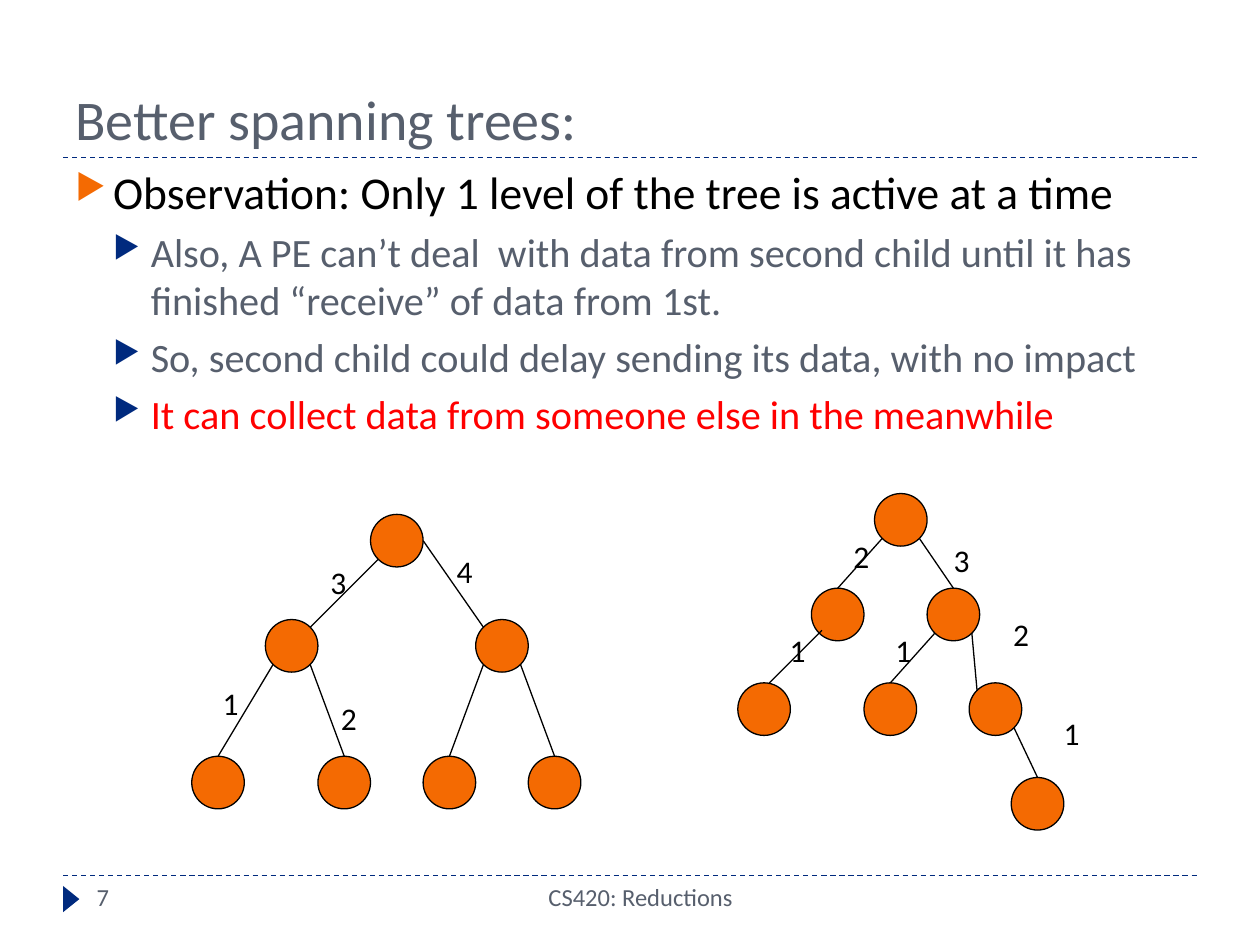
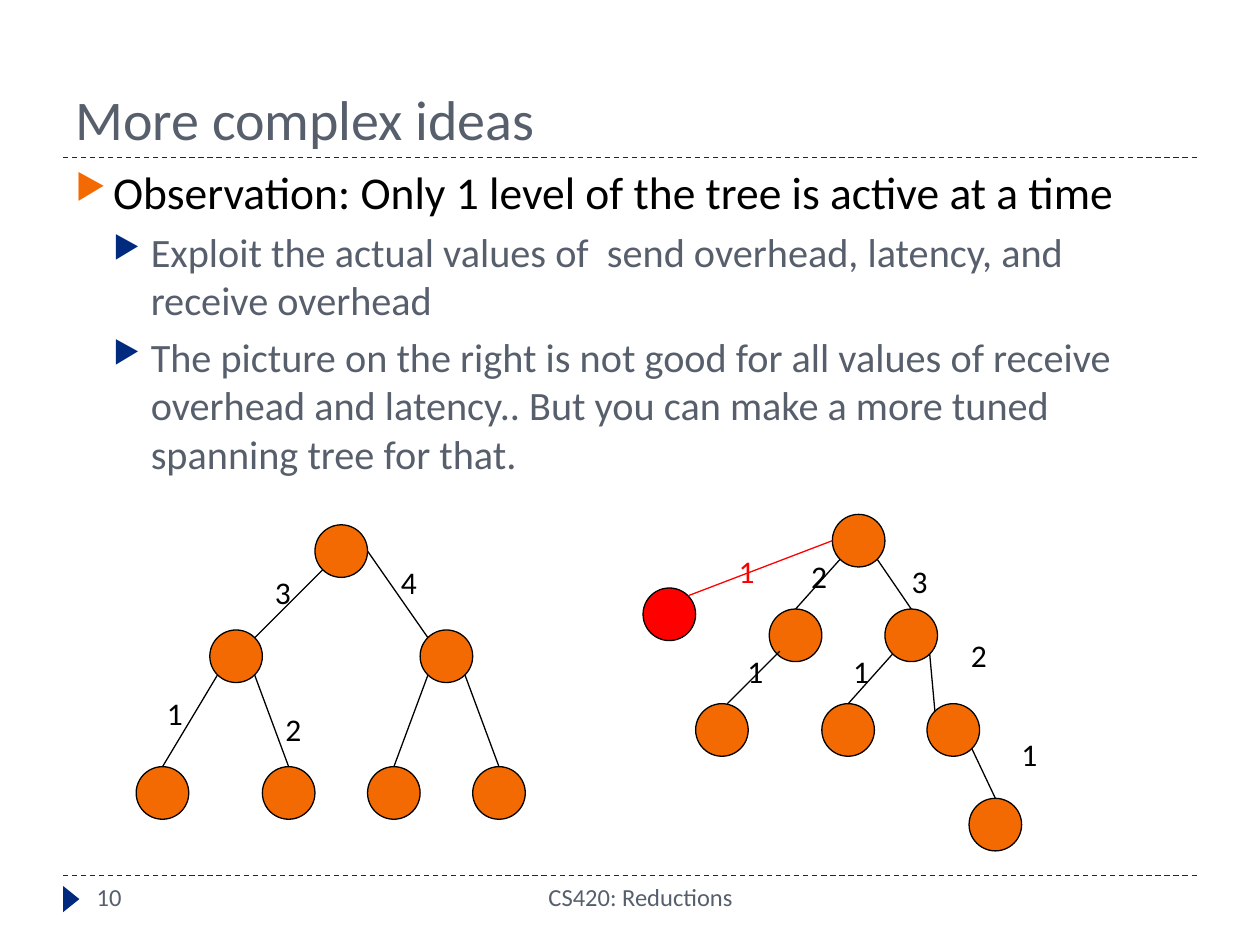
import dataclasses

import lxml.etree
import pptx
import pptx.dml.color
import pptx.enum.dml
import pptx.enum.shapes
import pptx.enum.text
import pptx.oxml.ns
import pptx.util

Cm = pptx.util.Cm
Pt = pptx.util.Pt
SHAPE = pptx.enum.shapes.MSO_SHAPE
ALIGN = pptx.enum.text.PP_ALIGN
ANCHOR = pptx.enum.text.MSO_ANCHOR


@dataclasses.dataclass(frozen=True)
class Theme:
    font: str = "Calibri"
    navy: str = "002A7E"
    orange: str = "F46A02"
    slate: str = "575F6D"
    black: str = "000000"
    red: str = "FF0000"
    title: int = 32
    lead: int = 26
    point: int = 23
    label: int = 18
    foot: int = 14
    line: float = 0.75


THEME = Theme()
NODE = 1.06  # node diameter in cm, also the unit of the tree grids

# Points on a node's outline, as fractions of its box
TOP, LEFT, RIGHT = (0.5, 0), (0, 0.5), (1, 0.5)
NW, NE, SW, SE = (0.15, 0.15), (0.85, 0.15), (0.15, 0.85), (0.85, 0.85)


@dataclasses.dataclass(frozen=True)
class Tree:
    """Nodes are (x, y), edges (parent, point, child, point), labels (text, x, y, width in cm)."""
    nodes: tuple
    edges: tuple
    labels: tuple


EVEN = Tree(
    nodes=((0, 0), (-2, 2), (2, 2), (-3.4, 4.6), (-1, 4.6), (1, 4.6), (3, 4.6)),
    edges=((0, SW, 1, NE), (0, RIGHT, 2, NW), (1, SW, 3, TOP),
           (1, SE, 4, TOP), (2, SW, 5, TOP), (2, SE, 6, TOP)),
    labels=(("1", -3.05, 3.1, 0.84), ("2", -0.8, 3.4, 0.84),
            ("3", -1, 0.8, 0.84), ("4", 1.4, 0.6, 0.84)),
)
SKEWED = Tree(
    nodes=((0, 0), (-1.2, 1.8), (1, 1.8), (-2.6, 3.6), (-0.2, 3.6),
           (1.8, 3.6), (2.6, 5.4)),
    edges=((0, SW, 1, TOP), (0, SE, 2, TOP), (1, (0.2, 0.8), 3, (0.6, 0)),
           (2, SW, 4, TOP), (2, SE, 5, NW), (5, SE, 6, TOP)),
    labels=(("1", -1.85, 2.5, 0.84), ("1", 3.36, 4.08, 0.84),
            ("1", 0.16, 2.5, 0.84), ("2", -0.64, 0.7, 0.84),
            ("2", 2.4, 2.2, 0.51), ("3", 1.27, 0.78, 0.51)),
)


def rgb(color):
    return pptx.dml.color.RGBColor.from_string(color)


def style(par, size, color):
    for run in par.runs:
        run.font.name = THEME.font
        run.font.size = Pt(size)
        run.font.color.rgb = rgb(color)


def add_box(slide, box):
    frame = slide.shapes.add_textbox(*map(Cm, box)).text_frame
    frame.word_wrap = True
    return frame


def add_text(slide, box, text, size, color, align=ALIGN.LEFT, anchor=ANCHOR.TOP):
    frame = add_box(slide, box)
    frame.text = text
    frame.vertical_anchor = anchor
    par = frame.paragraphs[0]
    par.alignment = align
    style(par, size, color)


def add_line(slide, start, end, color, dash=False):
    line = slide.shapes.add_connector(
        pptx.enum.shapes.MSO_CONNECTOR.STRAIGHT, *map(Cm, (*start, *end)))
    line.line.color.rgb = rgb(color)
    line.line.width = Pt(THEME.line)
    if dash:
        line.line.dash_style = pptx.enum.dml.MSO_LINE.DASH
    lxml.etree.SubElement(line.element.spPr, pptx.oxml.ns.qn("a:effectLst"))


def add_shape(slide, kind, box, fill, edge=None):
    shape = slide.shapes.add_shape(kind, *map(Cm, box))
    shape.shadow.inherit = False
    shape.fill.solid()
    shape.fill.fore_color.rgb = rgb(fill)
    if edge:
        shape.line.color.rgb = rgb(edge)
        shape.line.width = Pt(THEME.line)
    else:
        shape.line.fill.background()
    return shape


def add_bullet(par, level, color):
    par.level = level
    par.space_before = Pt(6 - level)
    props = par._p.get_or_add_pPr()
    props.set("marL", str(Cm(0.76 * (level + 1))))
    props.set("indent", str(-Cm(0.76)))
    qn = pptx.oxml.ns.qn
    tint = lxml.etree.SubElement(props, qn("a:buClr"))
    lxml.etree.SubElement(tint, qn("a:srgbClr"), val=color)
    lxml.etree.SubElement(props, qn("a:buSzPct"), val="76000")
    lxml.etree.SubElement(props, qn("a:buChar"), char="▶")


def add_body(slide, size, lead, points):
    """Write the lead bullet, then the (text, color) points below it."""
    frame = add_box(slide, (1.27, 3.18, *size))
    frame.text = "\n".join([lead] + [text for text, color in points])
    first, *rest = frame.paragraphs
    add_bullet(first, 0, THEME.orange)
    style(first, THEME.lead, THEME.black)
    for par, (text, color) in zip(rest, points):
        add_bullet(par, 1, THEME.navy)
        style(par, THEME.point, color)


def place(root, spot, point=(0, 0)):
    """Turn a grid spot, and a point on its node, into cm on the slide."""
    return tuple(r + NODE * (s + p) for r, s, p in zip(root, spot, point))


def add_node(slide, root, spot, fill):
    add_shape(slide, SHAPE.OVAL, (*place(root, spot), NODE, NODE),
              fill, THEME.black)


def add_label(slide, root, label, color):
    text, x, y, width = label
    add_text(slide, (*place(root, (x, y)), width, 1.02), text, THEME.label, color)


def add_tree(slide, root, tree):
    for spot in tree.nodes:
        add_node(slide, root, spot, THEME.orange)
    for parent, start, child, end in tree.edges:
        add_line(slide, place(root, tree.nodes[parent], start),
                 place(root, tree.nodes[child], end), THEME.black)
    for label in tree.labels:
        add_label(slide, root, label, THEME.black)


def add_extra(slide, root):
    """Hang one more child, in red, on the root of the skewed tree."""
    spot = (-3.6, 1.4)
    add_node(slide, root, spot, THEME.red)
    add_line(slide, place(root, spot, NE), place(root, (0, 0), LEFT), THEME.red)
    add_label(slide, root, ("1", -2.02, 0.6, 0.84), THEME.red)


def add_slide(deck, title, number):
    """Start a slide with its title, rules and footer."""
    slide = deck.slides.add_slide(deck.slide_layouts[6])
    for y in (17.65, 3.18):
        add_line(slide, (1.27, y), (24.13, y), THEME.navy, dash=True)
    mark = add_shape(slide, SHAPE.ISOSCELES_TRIANGLE,
                     (1.17, 17.96, 0.53, 0.33), THEME.navy)
    mark.rotation = 90
    add_text(slide, (1.27, 0.43, 22.86, 2.75), title, THEME.title, THEME.slate,
             anchor=ANCHOR.BOTTOM)
    add_text(slide, (1.7, 17.65, 5.5, 1.02), number, THEME.foot, THEME.slate)
    add_text(slide, (8.05, 17.65, 9.73, 1.02), "CS420: Reductions",
             THEME.foot, THEME.slate, align=ALIGN.CENTER)
    return slide


def main():
    deck = pptx.Presentation()
    deck.slide_width, deck.slide_height = Cm(25.4), Cm(19.05)
    lead = "Observation: Only 1 level of the tree is active at a time"

    better = add_slide(deck, "Better spanning trees:", "7")
    add_body(better, (22.66, 14.4), lead, (
        ("Also, A PE can’t deal  with data from second child until it has "
         "finished “receive” of data from 1st.", THEME.slate),
        ("So, second child could delay sending its data, with no impact",
         THEME.slate),
        ("It can collect data from someone else in the meanwhile", THEME.red),
    ))
    add_tree(better, (7.47, 10.37), EVEN)
    add_tree(better, (17.63, 9.95), SKEWED)

    tuned = add_slide(deck, "More complex ideas", "10")
    add_body(tuned, (22.86, 14.17), lead, (
        ("Exploit the actual values of  send overhead, latency, and "
         "receive overhead", THEME.slate),
        ("The picture on the right is not good for all values of receive "
         "overhead and latency.. But you can make a more tuned spanning tree "
         "for that.", THEME.slate),
    ))
    root = (16.78, 10.37)
    add_tree(tuned, (6.35, 10.58), EVEN)
    add_tree(tuned, root, SKEWED)
    add_extra(tuned, root)

    deck.save("out.pptx")


if __name__ == "__main__":
    main()
